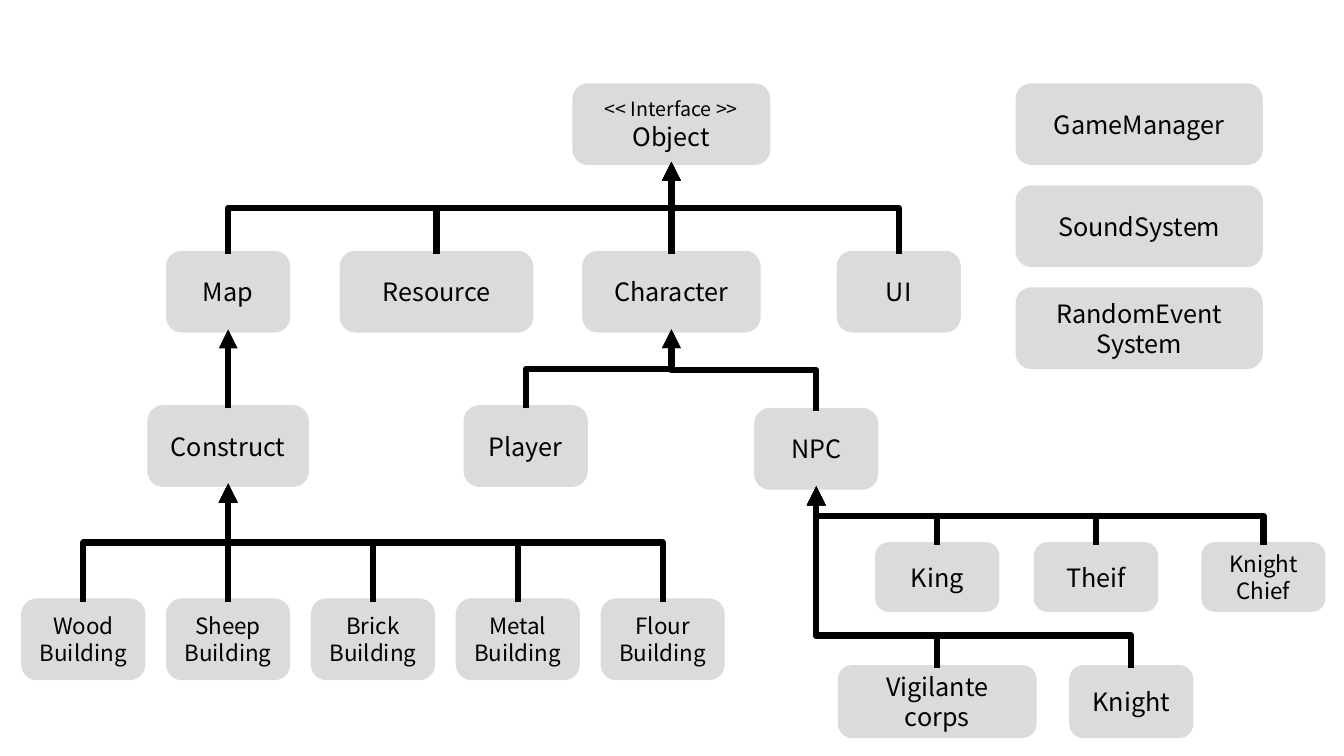
from lxml.etree import SubElement
from pptx import Presentation
from pptx.dml.color import RGBColor
from pptx.enum.shapes import MSO_CONNECTOR, MSO_SHAPE
from pptx.enum.text import MSO_ANCHOR, PP_ALIGN
from pptx.oxml.ns import qn
from pptx.util import Cm, Pt

FONT = "Noto Sans CJK KR"
GREY, BLACK = "DBDBDB", "000000"
LINE_WIDTH = Pt(4.5)
SMALL, TALL = 2.97, 1.9  # usual box width and height in cm
TOP, BOTTOM = 0, 2  # connection sites of a class box


def color(value):
    """Turn a hex string into a colour."""
    return RGBColor.from_string(value)


def add_class(page, lines, center, top, width=SMALL, height=TALL, sizes=(18, 18)):
    """Add a class box centred on a given x, with one paragraph per line."""
    box = page.shapes.add_shape(
        MSO_SHAPE.FLOWCHART_ALTERNATE_PROCESS,
        Cm(center - width / 2), Cm(top), Cm(width), Cm(height))
    box.shadow.inherit = False
    box.fill.solid()
    box.fill.fore_color.rgb = color(GREY)
    box.line.color.rgb = color(GREY)
    box.line.width = LINE_WIDTH
    frame = box.text_frame
    frame.word_wrap = True
    frame.vertical_anchor = MSO_ANCHOR.MIDDLE
    frame.text = lines
    for para, size in zip(frame.paragraphs, sizes):
        para.alignment = PP_ALIGN.CENTER
        para.font.name = FONT
        para.font.size = Pt(size)
        para.font.color.rgb = color(BLACK)
    return box


def bend_upward(connector, bend):
    """Turn an elbow so that it leaves and arrives vertically."""
    start_x, start_y = connector.begin_x, connector.begin_y
    end_x, end_y = connector.end_x, connector.end_y
    rise, run = abs(start_y - end_y), abs(start_x - end_x)
    connector.left = (start_x + end_x - rise) // 2
    connector.top = (start_y + end_y - run) // 2
    connector.width, connector.height = rise, run
    from_left = start_x < end_x
    properties = connector._element.spPr
    frame = properties.find(qn("a:xfrm"))
    frame.set("rot", str((90 if from_left else 270) * 60000))
    frame.set("flipH", "1" if from_left else "0")
    frame.set("flipV", "1")
    geometry = properties.find(qn("a:prstGeom"))
    guides = geometry.find(qn("a:avLst"))
    SubElement(guides, qn("a:gd"), name="adj1", fmla=f"val {round(bend * 100000)}")


def add_inheritance(page, child, parent, bend=0.5):
    """Add an arrow from the top of a child to the bottom of its parent."""
    offset = child.left + child.width // 2 - parent.left - parent.width // 2
    straight = abs(offset) < Cm(0.01)
    kind = MSO_CONNECTOR.STRAIGHT if straight else MSO_CONNECTOR.ELBOW
    connector = page.shapes.add_connector(kind, 0, 0, 0, 0)
    connector.begin_connect(child, TOP)
    connector.end_connect(parent, BOTTOM)
    if not straight:
        bend_upward(connector, bend)
    connector.line.color.rgb = color(BLACK)
    connector.line.width = LINE_WIDTH
    SubElement(connector.line._get_or_add_ln(), qn("a:tailEnd"), type="triangle")
    SubElement(connector._element.spPr, qn("a:effectLst"))


def add_children(page, parent, children, bend=0.5):
    """Join each child to the parent."""
    for child in children:
        add_inheritance(page, child, parent, bend)


def main():
    """Build the class diagram."""
    deck = Presentation()
    deck.slide_width, deck.slide_height = Cm(33.87), Cm(19.05)
    page = deck.slides.add_slide(deck.slide_layouts[6])

    root = add_class(page, "<< Interface >>\nObject", 16.92, 2.18, 4.83,
                     sizes=(14, 18))
    managers = ("GameManager", "SoundSystem", "RandomEvent\nSystem")
    for index, name in enumerate(managers):
        add_class(page, name, 28.71, 2.18 + 2.57 * index, 6.07)

    kinds = [add_class(page, name, center, 6.4, width) for name, center, width in (
        ("Map", 5.75, SMALL), ("Resource", 11, 4.72),
        ("Character", 16.92, 4.34), ("UI", 22.65, SMALL))]
    world, _, character, _ = kinds

    construct = add_class(page, "Construct", 5.75, 10.29, 3.91)
    player = add_class(page, "Player", 13.25, 10.29)
    npc = add_class(page, "NPC", 20.57, 10.36)

    materials = ("Wood", "Sheep", "Brick", "Metal", "Flour")
    buildings = [
        add_class(page, f"{name}\nBuilding", 2.1 + 3.65 * index, 15.16,
                  sizes=(16, 16))
        for index, name in enumerate(materials)]

    upper_npcs = [
        add_class(page, name, center, 13.74, height=1.6, sizes=(size, size))
        for name, center, size in (
            ("King", 23.62, 18), ("Theif", 27.62, 18), ("Knight\nChief", 31.84, 16))]
    lower_npcs = [
        add_class(page, name, center, 16.84, width, 1.68)
        for name, center, width in (
            ("Vigilante corps", 23.62, 4.85), ("Knight", 28.51, SMALL))]

    add_children(page, root, kinds)
    add_children(page, world, [construct])
    add_children(page, character, [player, npc])
    add_children(page, construct, buildings)
    add_children(page, npc, upper_npcs)
    add_children(page, npc, lower_npcs, bend=0.18)
    deck.save("out.pptx")


main()
